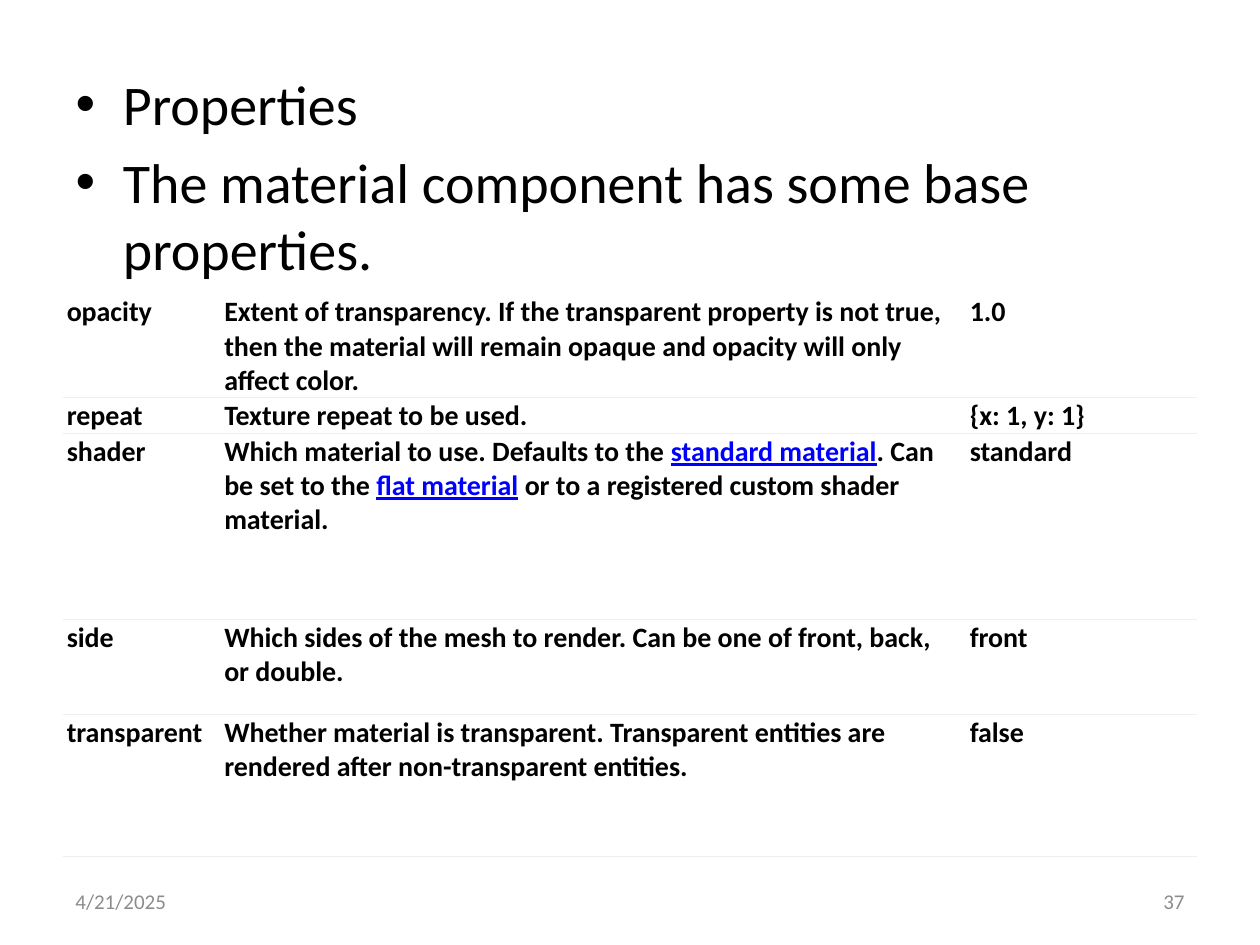
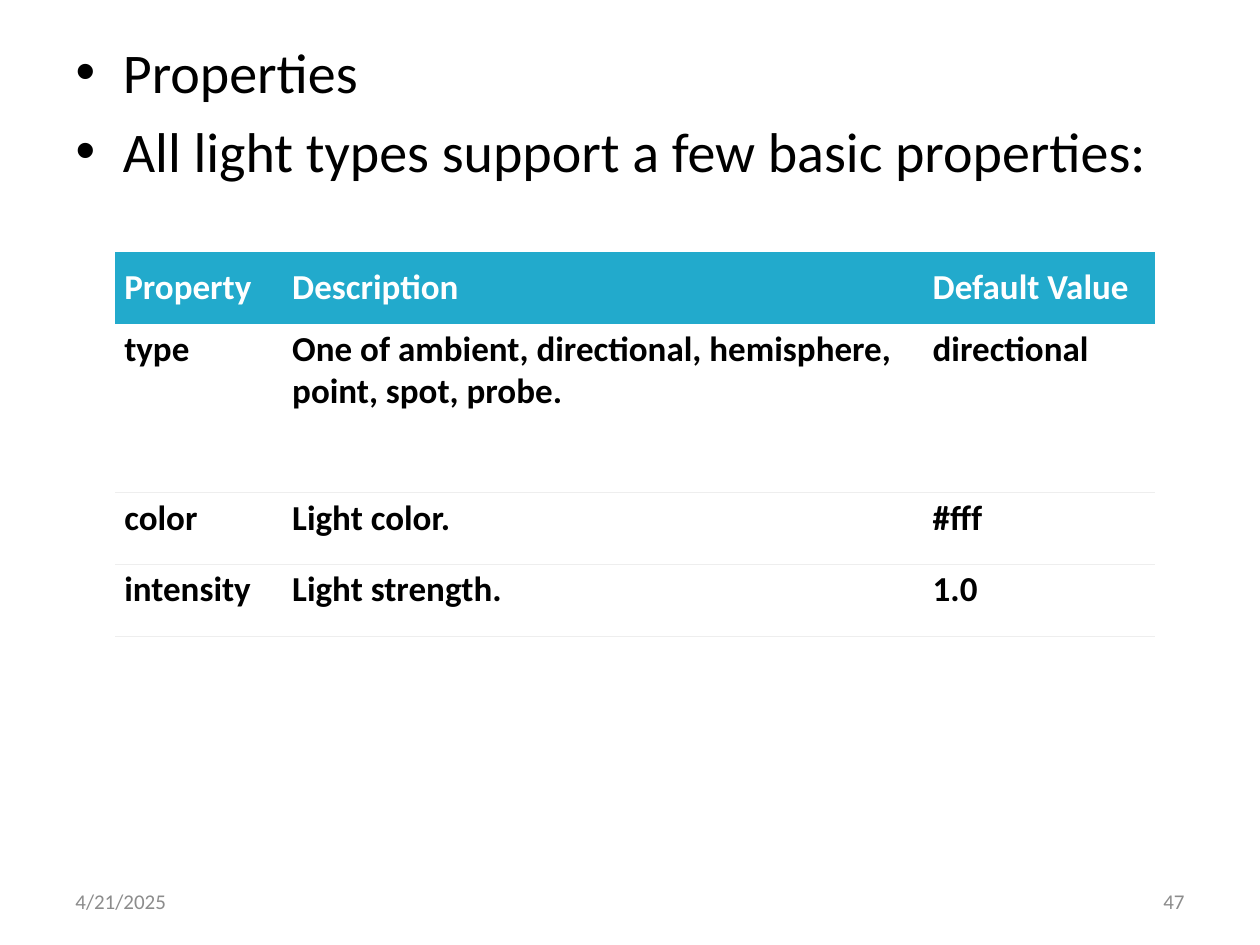
from dataclasses import dataclass
from typing import NamedTuple

from lxml.etree import SubElement
from pptx import Presentation
from pptx.dml.color import RGBColor
from pptx.enum.text import MSO_ANCHOR as Anchor, PP_ALIGN as Align
from pptx.oxml import parse_xml
from pptx.oxml.ns import nsdecls, qn
from pptx.util import Inches, Pt

SLIDE_WIDTH, SLIDE_HEIGHT = Inches(10), Inches(7.5)
GRID_COLUMNS, GRID_ROWS = 120, 90
FONT = "Calibri"
BLACK = RGBColor(0x00, 0x00, 0x00)
WHITE = RGBColor(0xFF, 0xFF, 0xFF)
HEADER_BLUE = RGBColor(0x22, 0xAA, 0xCC)
LINK_BLUE = RGBColor(0x00, 0x00, 0xFF)
FOOTER_GREY = RGBColor(0x8C, 0x8C, 0x8C)
RULE_GREY = RGBColor(0xEE, 0xEE, 0xEE)
RULE_WIDTH = Pt(0.6)
DATE = "4/21/2025"


class Area(NamedTuple):
    """A rectangle in grid columns and rows."""
    column: float
    row: float
    columns: float
    rows: float


class Link(NamedTuple):
    words: str


@dataclass(frozen=True)
class PropertyTable:
    column: float
    row: float
    widths: tuple[float, ...]
    heights: tuple[float, ...]
    size: int
    side_inset: float
    end_inset: float
    has_header: bool
    entries: tuple[tuple, ...]


@dataclass(frozen=True)
class PropertySlide:
    number: int
    bullet_area: Area
    bullets: tuple[str, ...]
    table: PropertyTable


DATE_AREA = Area(6, 83.4, 28, 4.8)
NUMBER_AREA = Area(86, 83.4, 28, 4.8)

SLIDES = (
    PropertySlide(
        37, Area(6, 6, 108, 74.4),
        ("Properties", "The material component has some base properties."),
        PropertyTable(
            6, 28, (15, 71, 22), (9.5, 3.25, 17.75, 9, 13.5), 16, 0.03, 0.01, False,
            (
                ("opacity", "Extent of transparency. If the transparent property is not true, "
                 "then the material will remain opaque and opacity will only affect color.", "1.0"),
                ("repeat", "Texture repeat to be used.", "{x: 1, y: 1}"),
                ("shader", ("Which material to use. Defaults to the ", Link("standard material"),
                            ". Can be set to the ", Link("flat material"),
                            " or to a registered custom shader material."), "standard"),
                ("side", "Which sides of the mesh to render. Can be one of front, back, "
                 "or double.", "front"),
                ("transparent", "Whether material is transparent. Transparent entities are "
                 "rendered after non-transparent entities.", "false"),
            ))),
    PropertySlide(
        47, Area(6, 3, 108, 77.4),
        ("Properties", "All light types support a few basic properties:"),
        PropertyTable(
            11, 24, (16, 61, 22), (6.85, 16.1, 6.85, 6.85), 20, 0.07, 0.03, True,
            (
                ("Property", "Description", "Default Value"),
                ("type", "One of ambient, directional, hemisphere, point, spot, probe.",
                 "directional"),
                ("color", "Light color.", "#fff"),
                ("intensity", "Light strength.", "1.0"),
            ))),
)


def across(columns: float) -> int:
    return round(SLIDE_WIDTH * columns / GRID_COLUMNS)


def down(rows: float) -> int:
    return round(SLIDE_HEIGHT * rows / GRID_ROWS)


def bounds(area: Area) -> tuple[int, int, int, int]:
    return across(area.column), down(area.row), across(area.columns), down(area.rows)


def add_run(paragraph, words: str, size: int, color: RGBColor, bold: bool = False,
            underline: bool = False) -> None:
    run = paragraph.add_run()
    run.text = words
    font = run.font
    font.name, font.size, font.bold = FONT, Pt(size), bold
    font.underline = underline
    font.color.rgb = color


def add_footer(slide, area: Area, words: str, align: Align) -> None:
    frame = slide.shapes.add_textbox(*bounds(area)).text_frame
    frame.word_wrap = True
    frame.vertical_anchor = Anchor.MIDDLE
    paragraph = frame.paragraphs[0]
    paragraph.alignment = align
    add_run(paragraph, words, 12, FOOTER_GREY)


def fill_bullets(slide, area: Area, bullets: tuple[str, ...]) -> None:
    body = slide.placeholders[1]
    body.left, body.top, body.width, body.height = bounds(area)
    frame = body.text_frame
    for index, words in enumerate(bullets):
        paragraph = frame.add_paragraph() if index else frame.paragraphs[0]
        add_run(paragraph, words, 32, BLACK)


def set_borders(cell, ruled_sides: str) -> None:
    """Rule the named sides (L, R, T, B) and clear the others."""
    properties = cell._tc.get_or_add_tcPr()
    for position, side in enumerate("LRTB"):
        line = parse_xml(f'<a:ln{side} {nsdecls("a")} w="{RULE_WIDTH}"/>')
        if side in ruled_sides:
            solid = SubElement(line, qn("a:solidFill"))
            SubElement(solid, qn("a:srgbClr"), val=str(RULE_GREY))
        else:
            SubElement(line, qn("a:noFill"))
        properties.insert(position, line)


def fill_cell(cell, content, layout: PropertyTable, is_header: bool) -> None:
    cell.margin_left = cell.margin_right = Inches(layout.side_inset)
    cell.margin_top = cell.margin_bottom = Inches(layout.end_inset)
    cell.vertical_anchor = Anchor.MIDDLE if is_header else Anchor.TOP
    cell.fill.solid()
    cell.fill.fore_color.rgb = HEADER_BLUE if is_header else WHITE
    paragraph = cell.text_frame.paragraphs[0]
    text_color = WHITE if is_header else BLACK
    pieces = (content,) if isinstance(content, str) else content
    for piece in pieces:
        if isinstance(piece, Link):
            add_run(paragraph, piece.words, layout.size, LINK_BLUE, True, True)
        else:
            add_run(paragraph, piece, layout.size, text_color, True)


def add_property_table(slide, layout: PropertyTable) -> None:
    area = Area(layout.column, layout.row, sum(layout.widths), sum(layout.heights))
    table = slide.shapes.add_table(
        len(layout.heights), len(layout.widths), *bounds(area)).table
    table.first_row = layout.has_header
    table.horz_banding = False
    for column, width in zip(table.columns, layout.widths):
        column.width = across(width)
    first_entry = int(layout.has_header)
    for index, (entry, height) in enumerate(zip(layout.entries, layout.heights)):
        table.rows[index].height = down(height)
        is_header = index < first_entry
        ruled_sides = "" if is_header else "B" if index == first_entry else "TB"
        for cell, content in zip(table.rows[index].cells, entry):
            fill_cell(cell, content, layout, is_header)
            set_borders(cell, ruled_sides)


def add_property_slide(deck, content: PropertySlide) -> None:
    slide = deck.slides.add_slide(deck.slide_layouts.get_by_name("Title and Content"))
    unused_title = slide.shapes.title.element
    unused_title.getparent().remove(unused_title)
    fill_bullets(slide, content.bullet_area, content.bullets)
    add_footer(slide, DATE_AREA, DATE, Align.LEFT)
    add_footer(slide, NUMBER_AREA, str(content.number), Align.RIGHT)
    add_property_table(slide, content.table)


def main() -> None:
    deck = Presentation()
    deck.slide_width, deck.slide_height = SLIDE_WIDTH, SLIDE_HEIGHT
    for content in SLIDES:
        add_property_slide(deck, content)
    deck.save("out.pptx")


if __name__ == "__main__":
    main()
